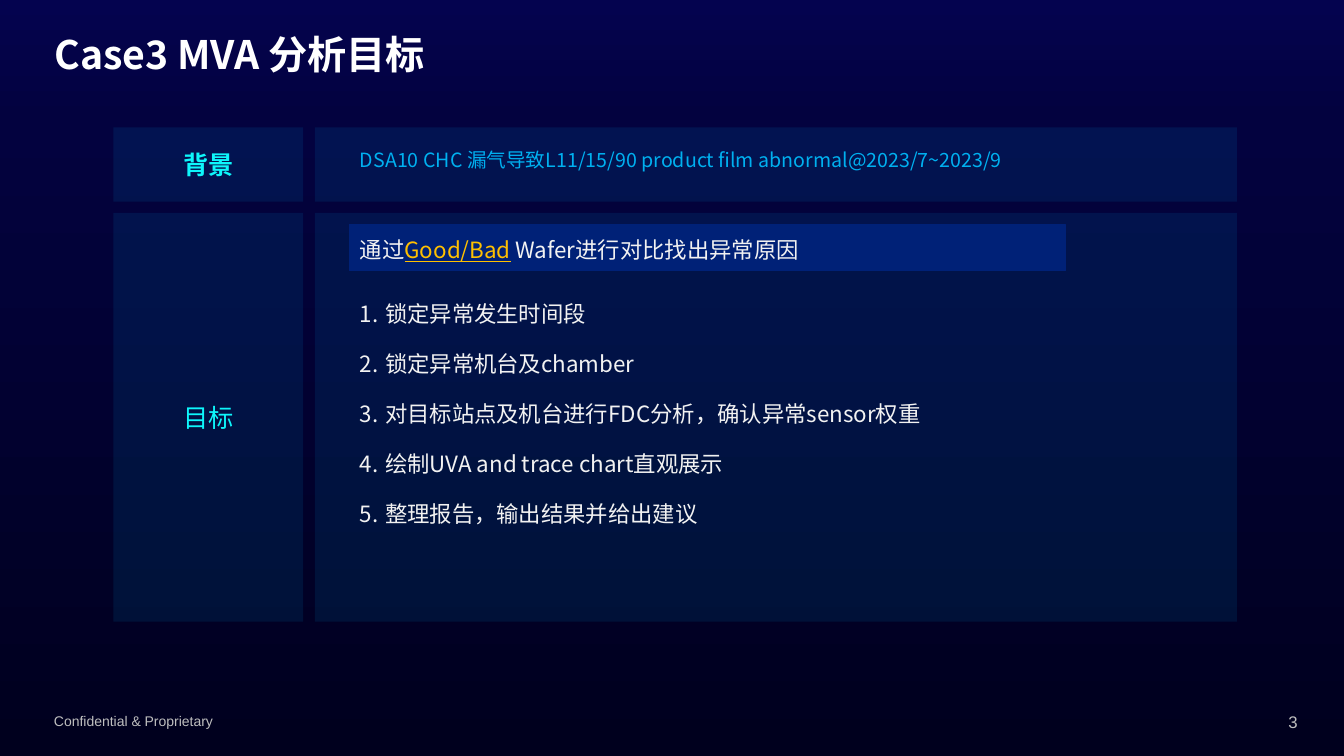
from copy import deepcopy

from lxml.etree import SubElement
from pptx import Presentation
from pptx.dml.color import RGBColor
from pptx.enum.shapes import MSO_SHAPE
from pptx.enum.text import MSO_ANCHOR, PP_ALIGN
from pptx.oxml import parse_xml
from pptx.oxml.ns import qn
from pptx.util import Pt

COLORS = {
    "bg_top": "04034F", "bg_upper": "03023F", "bg_bottom": "00001E",
    "panel": "00B0F0", "banner": "002177", "label": "0EF6FB",
    "white": "FFFFFF", "body": "F2F2F2", "accent": "FFC000", "footer": "BFBFBF",
}
CJK = "Noto Sans CJK SC"
A_NS = "http://schemas.openxmlformats.org/drawingml/2006/main"
TITLE_SHADOW = (
    f'<a:effectLst xmlns:a="{A_NS}"><a:outerShdw blurRad="38100" dist="38100" '
    'dir="2700000" algn="tl"><a:srgbClr val="000000"><a:alpha val="43000"/>'
    '</a:srgbClr></a:outerShdw></a:effectLst>'
)
LABEL_X, LABEL_W = 81, 135.5
PANEL_X, PANEL_W = 225, 658.5
CONTENT_X, CONTENT_W = 250, 511
ROWS = [("背景", 91, 53, True), ("目标", 152, 292, False)]
STEPS = [
    "锁定异常发生时间段",
    "锁定异常机台及chamber",
    "对目标站点及机台进行FDC分析，确认异常sensor权重",
    "绘制UVA and trace chart直观展示",
    "整理报告，输出结果并给出建议",
]


def rgb(name):
    return RGBColor.from_string(COLORS[name])


def set_background(s):
    fill = s.background.fill
    fill.gradient()
    fill.gradient_angle = 270
    first = fill.gradient_stops[0]._gs
    first.addnext(deepcopy(first))
    stops = [(0, "bg_top"), (0.16, "bg_upper"), (1, "bg_bottom")]
    for stop, (position, color) in zip(fill.gradient_stops, stops):
        stop.position = position
        stop.color.rgb = rgb(color)


def add_run(p, text, size, color, font=CJK, bold=False, underline=False):
    r = p.add_run()
    r.text = text
    r.font.size = Pt(size)
    r.font.name = font
    r.font.bold = bold
    r.font.underline = underline
    r.font.color.rgb = rgb(color)
    if font == CJK:
        r.font._element.find(qn("a:latin")).addnext(
            r.font._element.makeelement(qn("a:ea"), {"typeface": font}))
    return r


def add_text(s, x, y, w, h):
    tf = s.shapes.add_textbox(Pt(x), Pt(y), Pt(w), Pt(h)).text_frame
    tf.word_wrap = True
    return tf


def add_rect(s, x, y, w, h, color, alpha=None):
    sp = s.shapes.add_shape(MSO_SHAPE.RECTANGLE, Pt(x), Pt(y), Pt(w), Pt(h))
    sp.shadow.inherit = False
    sp.fill.solid()
    sp.fill.fore_color.rgb = rgb(color)
    sp.line.fill.background()
    if alpha:
        tint = sp._element.spPr.find(qn("a:solidFill"))[0]
        SubElement(tint, qn("a:alpha"), val=str(alpha * 1000))
    return sp


def set_body_spacing(p):
    p.alignment = PP_ALIGN.JUSTIFY
    p.line_spacing = 1.24
    p.space_after = Pt(12)


def add_row(s, label, y, h, bold):
    """Add a label cell and the wide panel beside it."""
    add_rect(s, PANEL_X, y, PANEL_W, h, "panel", 10)
    tf = add_rect(s, LABEL_X, y, LABEL_W, h, "panel", 10).text_frame
    tf.vertical_anchor = MSO_ANCHOR.MIDDLE
    p = tf.paragraphs[0]
    p.alignment = PP_ALIGN.CENTER
    add_run(p, label, 18, "label", bold=bold)


def add_title(s, text):
    tf = add_text(s, 32, 21.5, 726, 38)
    tf.vertical_anchor = MSO_ANCHOR.MIDDLE
    p = tf.paragraphs[0]
    p.line_spacing = 0.9
    r = add_run(p, text, 28, "white", bold=True)
    r.font._element.find(qn("a:solidFill")).addnext(parse_xml(TITLE_SHADOW))


def add_banner(s):
    sp = add_rect(s, CONTENT_X, 160.5, CONTENT_W, 33, "banner")
    sp.line.color.rgb = rgb("banner")
    sp.line.width = Pt(0.75)
    tf = sp.text_frame
    tf.vertical_anchor = MSO_ANCHOR.TOP
    p = tf.paragraphs[0]
    set_body_spacing(p)
    add_run(p, "通过", 16, "body")
    add_run(p, "Good/Bad", 16, "accent", underline=True)
    add_run(p, " Wafer进行对比找出异常原因", 16, "body")


def add_steps(s):
    tf = add_text(s, CONTENT_X, 206, CONTENT_W, 198)
    for i, step in enumerate(STEPS):
        p = tf.add_paragraph() if i else tf.paragraphs[0]
        set_body_spacing(p)
        add_run(p, step, 16, "body")
        pPr = p._p.get_or_add_pPr()
        pPr.set("marL", str(Pt(18)))
        pPr.set("indent", str(-Pt(18)))
        SubElement(pPr, qn("a:buFont"), typeface=CJK)
        SubElement(pPr, qn("a:buAutoNum"), type="arabicPeriod")


def main():
    prs = Presentation()
    prs.slide_width, prs.slide_height = Pt(960), Pt(540)
    s = prs.slides.add_slide(prs.slide_layouts[6])
    set_background(s)

    footer = add_text(s, 31.5, 505.5, 324, 19.5).paragraphs[0]
    add_run(footer, "Confidential & Proprietary", 10, "footer", "Arial")
    number = add_text(s, 898, 504.5, 36, 21.5).paragraphs[0]
    number.alignment = PP_ALIGN.RIGHT
    add_run(number, "3", 12, "footer", "Arial")

    for row in ROWS:
        add_row(s, *row)
    add_title(s, "Case3 MVA 分析目标")
    background = add_text(s, CONTENT_X, 105, 474.5, 24.5).paragraphs[0]
    background.line_spacing = 0.82
    add_run(background, "DSA10 CHC 漏气导致L11/15/90 product film abnormal@2023/7~2023/9",
            14, "panel")
    add_banner(s)
    add_steps(s)
    prs.save("out.pptx")


if __name__ == "__main__":
    main()
